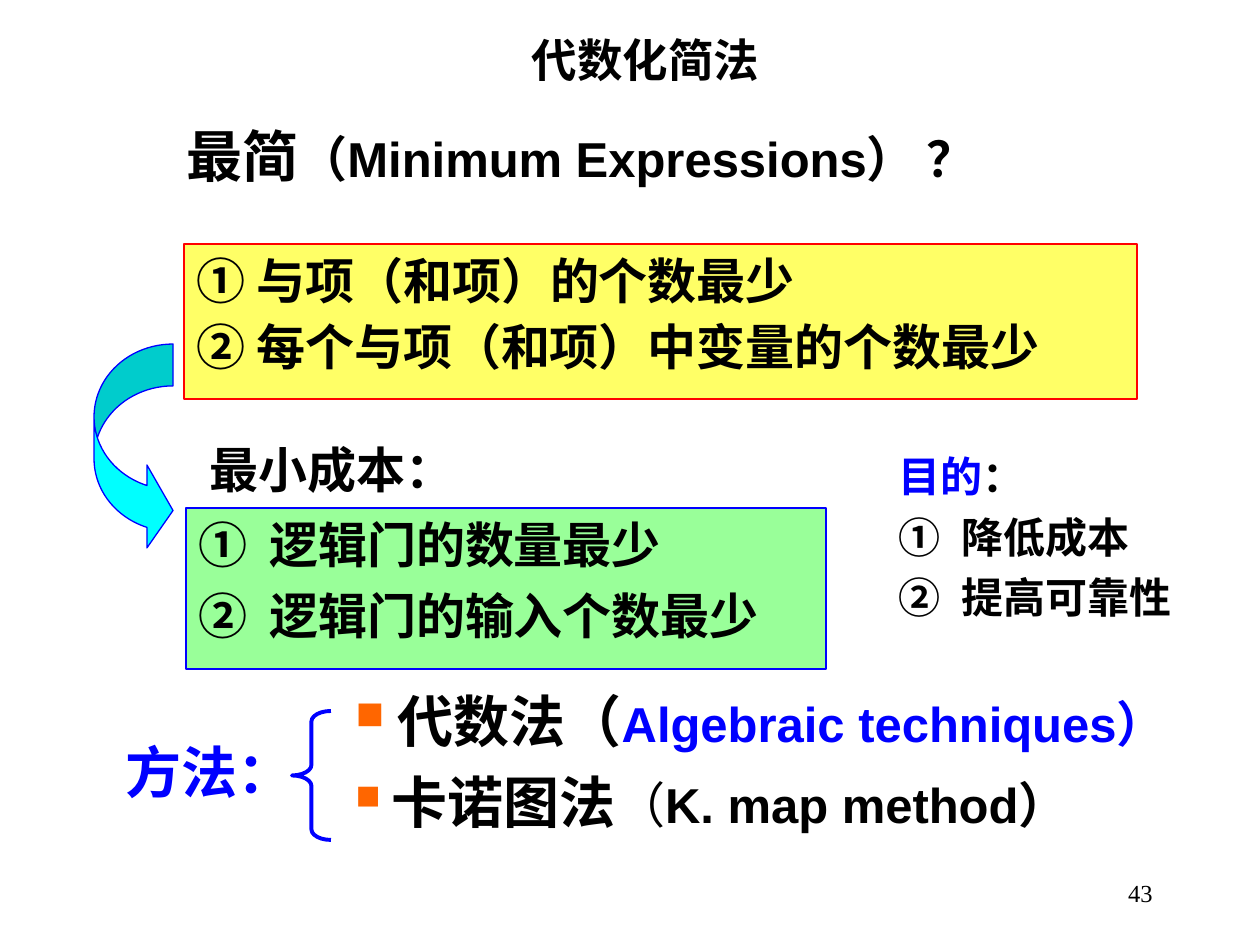
from lxml import etree
from pptx import Presentation
from pptx import util as u
from pptx.dml.color import RGBColor
from pptx.enum import shapes, text
from pptx.oxml.ns import qn

PX = 914400 / 126
COLORS = {"black": "000000", "blue": "0000FF", "orange": "FF6600", "red": "FF0000",
          "yellow": "FFFF66", "green": "99FF99", "cyan": "00FFFF"}
ARIAL, TIMES, CJK = "Arial", "Times New Roman", "Noto Sans CJK SC"
LEFT, CENTER, RIGHT, JUSTIFY = (text.PP_ALIGN.LEFT, text.PP_ALIGN.CENTER,
                                text.PP_ALIGN.RIGHT, text.PP_ALIGN.JUSTIFY)
SQUARE = [("buClr", {}), ("buSzPct", {"val": "70000"}), ("buChar", {"char": "■"})]
CIRCLED = [("buAutoNum", {"type": "circleNumDbPlain"})]

# Each run is (text, overrides of the box format); each paragraph is a list of runs.
BOXES = [
    ((174, 115, 840, 81), [[("最简", {"size": 32}), ("（Minimum Expressions） ？", {})]], {}),
    ((44, 731, 262, 79), [[("方法：", {})]], {"size": 32, "color": "blue", "align": RIGHT}),
    ((343, 680, 888, 183), [
        [(" 代数法（", {"size": 32, "font": TIMES}), ("Algebraic techniques）", {"color": "blue"})],
        [(" ", {"bold": False}), ("卡诺图法", {"size": 32, "font": TIMES}),
         ("（", {"bold": False}), ("K. map method）", {})],
    ], {"bullets": [SQUARE, SQUARE], "gap": 8}),
    ((154, 26, 983, 67), [[("代数化简法", {})]], {"size": 26, "align": CENTER}),
    ((197, 433, 444, 72), [[("最小成本：", {})]], {}),
    ((886, 444, 344, 217), [
        [("目的", {"font": CJK, "color": "blue"}), ("：", {"font": CJK})],
        [("降低成本", {})],
        [("提高可靠性", {})],
    ], {"size": 24, "indents": [0, 63, 63], "bullets": [[], CIRCLED, CIRCLED], "gap": 6}),
    ((903, 861, 262, 63), [[("43", {})]],
     {"size": 14, "font": TIMES, "bold": False, "align": RIGHT, "anchor": text.MSO_ANCHOR.MIDDLE}),
]
MINIMAL_TERMS = [
    [("① 与项（和项）的个数最少", {})],
    [("② ", {}), ("每个", {"font": TIMES}), ("与项（和项）中变量的个数最少", {})],
]
MINIMAL_COST = [[("①\t逻辑门的数量最少", {})], [("②\t逻辑门的输入个数最少", {})]]

deck = Presentation()
deck.slide_width, deck.slide_height = u.Inches(10), u.Inches(7.5)
slide = deck.slides.add_slide(deck.slide_layouts[6])


def px(lengths):
    return [round(length * PX) for length in lengths]


def rgb(name):
    return RGBColor.from_string(COLORS[name])


def add_bullet(paragraph, bullet):
    properties = paragraph._p.get_or_add_pPr()
    for tag, attributes in bullet:
        part = etree.SubElement(properties, qn("a:" + tag), attributes)
        if tag == "buClr":
            etree.SubElement(part, qn("a:srgbClr"), {"val": COLORS["orange"]})


def write(box, paragraphs, size=28, font=ARIAL, color="black", bold=True, align=LEFT,
          anchor=text.MSO_ANCHOR.TOP, gap=0, indents=None, bullets=None):
    frame = box.text_frame
    frame.word_wrap, frame.vertical_anchor = True, anchor
    for index, runs in enumerate(paragraphs):
        paragraph = frame.paragraphs[0] if index == 0 else frame.add_paragraph()
        paragraph.alignment = align
        if index:
            paragraph.space_before = u.Pt(gap)
        if indents:
            indent = round(indents[index] * PX)
            properties = paragraph._p.get_or_add_pPr()
            properties.set("marL", str(indent))
            properties.set("indent", str(-indent))
        if bullets:
            add_bullet(paragraph, bullets[index])
        for words, overrides in runs:
            style = {"size": size, "font": font, "color": color, "bold": bold, **overrides}
            run = paragraph.add_run()
            run.text = words
            run.font.size, run.font.bold = u.Pt(style["size"]), style["bold"]
            run.font.color.rgb = rgb(style["color"])
            run.font.name = style["font"]
            etree.SubElement(run._r.get_or_add_rPr(), qn("a:ea"), {"typeface": CJK})


def draw(kind, place, line, width, fill=None, adjustments=()):
    shape = slide.shapes.add_shape(kind, *px(place))
    shape.shadow.inherit = False
    if fill:
        shape.fill.solid()
        shape.fill.fore_color.rgb = rgb(fill)
    else:
        shape.fill.background()
    shape.line.color.rgb, shape.line.width = rgb(line), u.Pt(width)
    for index, value in enumerate(adjustments):
        shape.adjustments[index] = value
    return shape


KIND = shapes.MSO_SHAPE
terms = draw(KIND.RECTANGLE, (184, 244, 953, 155), "red", 1, "yellow")
write(terms, MINIMAL_TERMS, align=JUSTIFY, indents=[62, 62], gap=4)
draw(KIND.LEFT_BRACE, (292, 711, 39, 129), "blue", 2.25, adjustments=(0.27, 0.5))
cost = draw(KIND.RECTANGLE, (186, 508, 640, 161), "blue", 1.5, "green")
write(cost, MINIMAL_COST, indents=[71, 71], gap=7)
draw(KIND.CURVED_RIGHT_ARROW, (94, 344, 79, 208), "blue", 0.75, "cyan", (0.53, 1.05, 0.33))

for place, paragraphs, style in BOXES:
    write(slide.shapes.add_textbox(*px(place)), paragraphs, **style)

deck.save("out.pptx")
